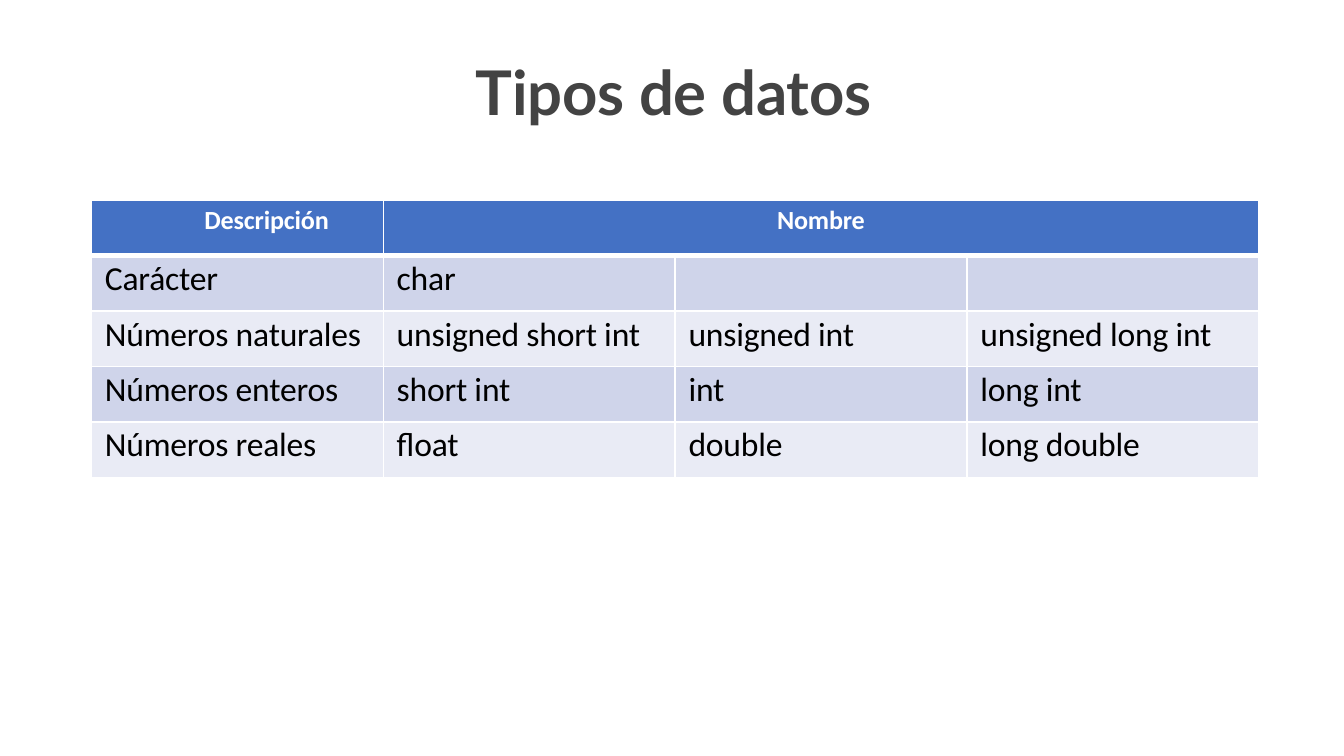
import pptx
import pptx.dml.color
import pptx.enum.text
import pptx.oxml
import pptx.oxml.ns
import pptx.util

Pt = pptx.util.Pt
ALIGN = pptx.enum.text.PP_ALIGN

HEADER_FILL = "4471C4"
BAND_FILLS = ("CFD4EA", "E9EBF5")
COLUMN_WIDTH = 156.35
ROW_HEIGHT = 29.7
DATA_TYPES = [
    ("Carácter", "char", "", ""),
    ("Números naturales", "unsigned short int", "unsigned int", "unsigned long int"),
    ("Números enteros", "short int", "int", "long int"),
    ("Números reales", "float", "double", "long double"),
]


def color(value):
    """Return the colour for a hex string."""
    return pptx.dml.color.RGBColor.from_string(value)


def write_text(paragraph, text, font="Calibri", size=18, fill="000000",
               bold=False, align=ALIGN.LEFT, spacing=-0.1):
    """Add a formatted run, with letter spacing in points."""
    paragraph.alignment = align
    run = paragraph.add_run()
    run.text = text
    run.font.name = font
    run.font.size = Pt(size)
    run.font.bold = bold
    run.font.color.rgb = color(fill)
    run.font._element.set("spc", str(round(spacing * 100)))


def set_borders(cell, top=1, bottom=1):
    """Draw white borders around a cell."""
    properties = cell._tc.get_or_add_tcPr()
    widths = {"lnL": 1, "lnR": 1, "lnT": top, "lnB": bottom}
    for position, (side, width) in enumerate(widths.items()):
        properties.insert(position, pptx.oxml.parse_xml(
            f'<a:{side} {pptx.oxml.ns.nsdecls("a")} w="{Pt(width)}">'
            f'<a:solidFill><a:srgbClr val="FFFFFF"/></a:solidFill></a:{side}>'))


def style_cell(cell, fill, left=0, top=0):
    """Set the fill and the inner margins of a cell."""
    cell.fill.solid()
    cell.fill.fore_color.rgb = color(fill)
    cell.margin_left, cell.margin_top = Pt(left), Pt(top)
    cell.margin_right = cell.margin_bottom = Pt(0)


def add_title(slide):
    """Add the centred slide title."""
    box = slide.shapes.add_textbox(Pt(154.8), Pt(28.1), Pt(482.4), Pt(74.2))
    box.left, box.width = Pt(154.8), Pt(412.2 - 2 * 9.45 + 2 * 9.45 - 3 * 9 - 0 + 3 * 9 - 0)
    box.width = Pt(412.2)
    frame = box.text_frame
    frame.word_wrap = True
    frame.margin_left = frame.margin_right = frame.margin_bottom = Pt(0)
    frame.margin_top = Pt(0.9)
    write_text(frame.paragraphs[0], "Tipos de datos", font="Lato", size=33,
               fill="434343", bold=True, align=ALIGN.CENTER)


def add_types_table(slide):
    """Add the table of data types and their names."""
    row_count, column_count = len(DATA_TYPES) + 1, len(DATA_TYPES[0])
    table = slide.shapes.add_table(
        row_count, column_count, Pt(49), Pt(107.4),
        Pt(COLUMN_WIDTH * column_count), Pt(ROW_HEIGHT * row_count)).table
    for column in table.columns:
        column.width = Pt(COLUMN_WIDTH)
    for row in table.rows:
        row.height = Pt(ROW_HEIGHT)

    for cell in table.rows[0].cells:
        style_cell(cell, HEADER_FILL, top=2.2)
        set_borders(cell, bottom=3)
    table.cell(0, 1).merge(table.cell(0, column_count - 1))
    table.cell(0, 0).margin_left = Pt(60.5)
    for column, (text, align) in enumerate(
            [("Descripción", ALIGN.LEFT), ("Nombre", ALIGN.CENTER)]):
        write_text(table.cell(0, column).text_frame.paragraphs[0], text,
                   size=14, fill="FFFFFF", bold=True, align=align)

    for row, texts in enumerate(DATA_TYPES, start=1):
        for column, text in enumerate(texts):
            cell = table.cell(row, column)
            style_cell(cell, BAND_FILLS[(row - 1) % 2], left=7.2, top=1.5)
            set_borders(cell, top=3 if row == 1 else 1)
            if text:
                write_text(cell.text_frame.paragraphs[0], text)


def main():
    """Build and save the slide."""
    presentation = pptx.Presentation()
    presentation.slide_width, presentation.slide_height = Pt(720), Pt(405)
    slide = presentation.slides.add_slide(presentation.slide_layouts[6])
    add_title(slide)
    add_types_table(slide)
    presentation.save("out.pptx")


if __name__ == "__main__":
    main()
